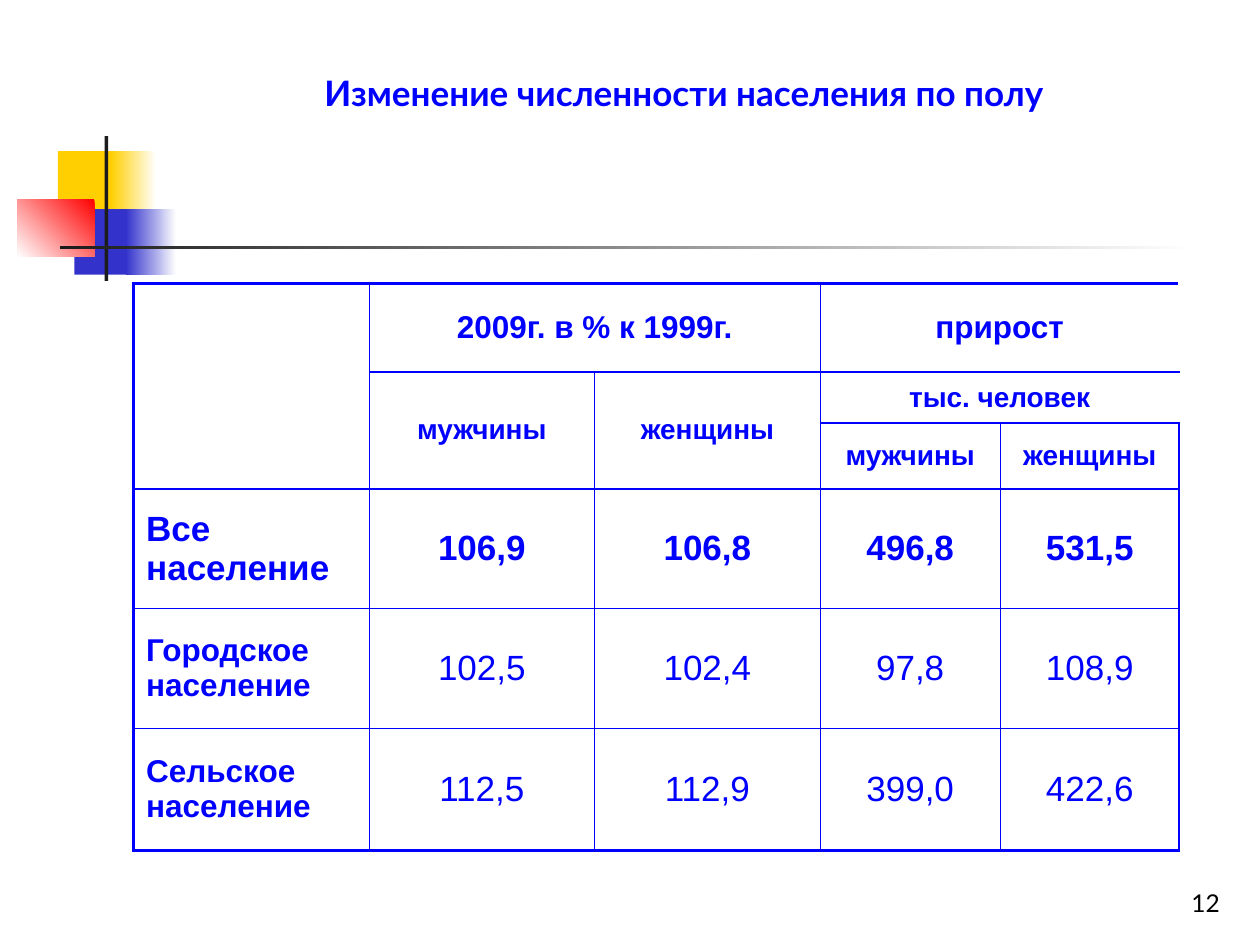
import pptx
import pptx.util
import pptx.dml.color
import pptx.enum.shapes
import pptx.enum.text
import pptx.oxml
import pptx.oxml.ns
from lxml import etree

Inches = pptx.util.Inches
Pt = pptx.util.Pt
RGB = pptx.dml.color.RGBColor
ALIGN = pptx.enum.text.PP_ALIGN
ANCHOR = pptx.enum.text.MSO_ANCHOR

BLUE = RGB(0, 0, 255)
WHITE = RGB(255, 255, 255)
BLACK = RGB(0, 0, 0)
GOLD = RGB(0xFF, 0xCF, 0x01)
NAVY = RGB(0x33, 0x33, 0xCC)
RED = RGB(255, 0, 0)
DARK = RGB(0x1C, 0x1C, 0x1C)

WIDE, HIGH = 10, 7.5
THICK, THIN = 1.47, 0.45
COLS = [1.87, 1.79, 1.79, 1.43, 1.42]
ROWS = [0.7, 0.41, 0.52, 0.95, 0.95, 0.97]
HEAVY_ROWS = {0, 1, 2, 3, 6}
HEAVY_COLS = {0, 5}
SPANS = [(0, 0, 2, 0), (0, 1, 0, 2), (0, 3, 0, 4),
         (1, 1, 2, 1), (1, 2, 2, 2), (1, 3, 1, 4)]
HEAD = [
    (0, 1, "2009г. в % к 1999г.", 18),
    (0, 3, "прирост", 18),
    (1, 1, "мужчины", 16),
    (1, 2, "женщины", 16),
    (1, 3, "тыс. человек", 16),
    (2, 3, "мужчины", 16),
    (2, 4, "женщины", 16),
]
BODY = [
    ("Все население", "106,9", "106,8", "496,8", "531,5"),
    ("Городское население", "102,5", "102,4", "97,8", "108,9"),
    ("Сельское население", "112,5", "112,9", "399,0", "422,6"),
]


def add_bar(slide, box, color, angle=None, fade=False):
    kind = pptx.enum.shapes.MSO_SHAPE.RECTANGLE
    bar = slide.shapes.add_shape(kind, *map(Inches, box))
    bar.shadow.inherit = False
    bar.line.fill.background()
    if angle is None:
        bar.fill.solid()
        bar.fill.fore_color.rgb = color
        return
    bar.fill.gradient()
    bar.fill.gradient_angle = angle
    ends = (WHITE, color) if fade else (color, WHITE)
    for stop, tone in zip(bar.fill.gradient_stops, ends):
        stop.color.rgb = tone


def add_logo(slide):
    add_bar(slide, (0.46, 1.2, 0.48, 0.52), GOLD)
    add_bar(slide, (0.88, 1.2, 0.36, 0.52), GOLD, 180, True)
    add_bar(slide, (0.59, 1.66, 0.46, 0.52), NAVY)
    add_bar(slide, (1, 1.66, 0.4, 0.52), NAVY, 180, True)
    add_bar(slide, (0.14, 1.58, 0.61, 0.46), RED, 225)
    add_bar(slide, (0.83, 1.08, 0.03, 1.15), DARK)
    add_bar(slide, (0.48, 1.95, 9, 0.03), DARK, 180, True)


def set_text(frame, text, size, color, face, align, bold=False):
    frame.text = text
    para = frame.paragraphs[0]
    para.alignment = align
    font = para.font
    font.name, font.size, font.bold = face, Pt(size), bold
    font.color.rgb = color
    return para


def set_title(slide):
    title = slide.shapes.title
    title.left, title.top = Inches(1.77), Inches(0.52)
    title.width, title.height = Inches(7.32), Inches(0.44)
    frame = title.text_frame
    frame.word_wrap = True
    frame.auto_size = pptx.enum.text.MSO_AUTO_SIZE.NONE
    frame.vertical_anchor = ANCHOR.TOP
    set_text(frame, "Изменение численности населения по полу",
             20, BLUE, "Lato", ALIGN.CENTER, True)


def add_page(slide, text):
    box = slide.shapes.add_textbox(*map(Inches, (7.7, 6.83, 2.08, 0.5)))
    frame = box.text_frame
    frame.word_wrap = True
    frame.vertical_anchor = ANCHOR.BOTTOM
    set_text(frame, text, 14, BLACK, "Lato", ALIGN.RIGHT)


def find_span(row, col):
    for top, left, low, right in SPANS:
        if top <= row <= low and left <= col <= right:
            return top, left, low, right
    return row, col, row, col


def add_edge(cell, side, heavy):
    width = Pt(THICK if heavy else THIN)
    name = pptx.oxml.ns.qn("a:ln" + side)
    edge = etree.SubElement(cell._tc.get_or_add_tcPr(), name, w=str(width))
    fill = etree.SubElement(edge, pptx.oxml.ns.qn("a:solidFill"))
    etree.SubElement(fill, pptx.oxml.ns.qn("a:srgbClr"), val=str(BLUE))


def style_cell(cell, row, col):
    top, left, low, right = find_span(row, col)
    if col == left:
        add_edge(cell, "L", col in HEAVY_COLS)
    if col == right:
        add_edge(cell, "R", col + 1 in HEAVY_COLS)
    if row == top:
        add_edge(cell, "T", row in HEAVY_ROWS)
    if row == low:
        add_edge(cell, "B", row + 1 in HEAVY_ROWS)
    cell.fill.solid()
    cell.fill.fore_color.rgb = WHITE
    cell.vertical_anchor = ANCHOR.MIDDLE
    cell.margin_left = cell.margin_right = Inches(0.1)
    cell.margin_top = cell.margin_bottom = Inches(0.05)


def fill_cell(cell, text, size, align=ALIGN.CENTER, bold=True):
    para = set_text(cell.text_frame, text, size, BLUE, "Arial", align, bold)
    para.space_before = Pt(size / 4)


def add_grid(slide):
    box = (1.06, 2.25, sum(COLS), sum(ROWS))
    frame = slide.shapes.add_table(len(ROWS), len(COLS), *map(Inches, box))
    table = frame.table
    table.first_row = table.horz_banding = False
    for col, width in zip(table.columns, COLS):
        col.width = Inches(width)
    for row, height in zip(table.rows, ROWS):
        row.height = Inches(height)
    for row in range(len(ROWS)):
        for col in range(len(COLS)):
            style_cell(table.cell(row, col), row, col)
    for top, left, low, right in SPANS:
        table.cell(top, left).merge(table.cell(low, right))
    for row, col, text, size in HEAD:
        fill_cell(table.cell(row, col), text, size)
    for row, (label, *values) in enumerate(BODY, 3):
        total = row == 3
        fill_cell(table.cell(row, 0), label, 20 if total else 18, ALIGN.LEFT)
        for col, value in enumerate(values, 1):
            fill_cell(table.cell(row, col), value, 20, bold=total)


def main():
    deck = pptx.Presentation()
    deck.slide_width, deck.slide_height = Inches(WIDE), Inches(HIGH)
    slide = deck.slides.add_slide(deck.slide_layouts[5])
    add_logo(slide)
    set_title(slide)
    add_grid(slide)
    add_page(slide, "12")
    deck.save("out.pptx")


main()
